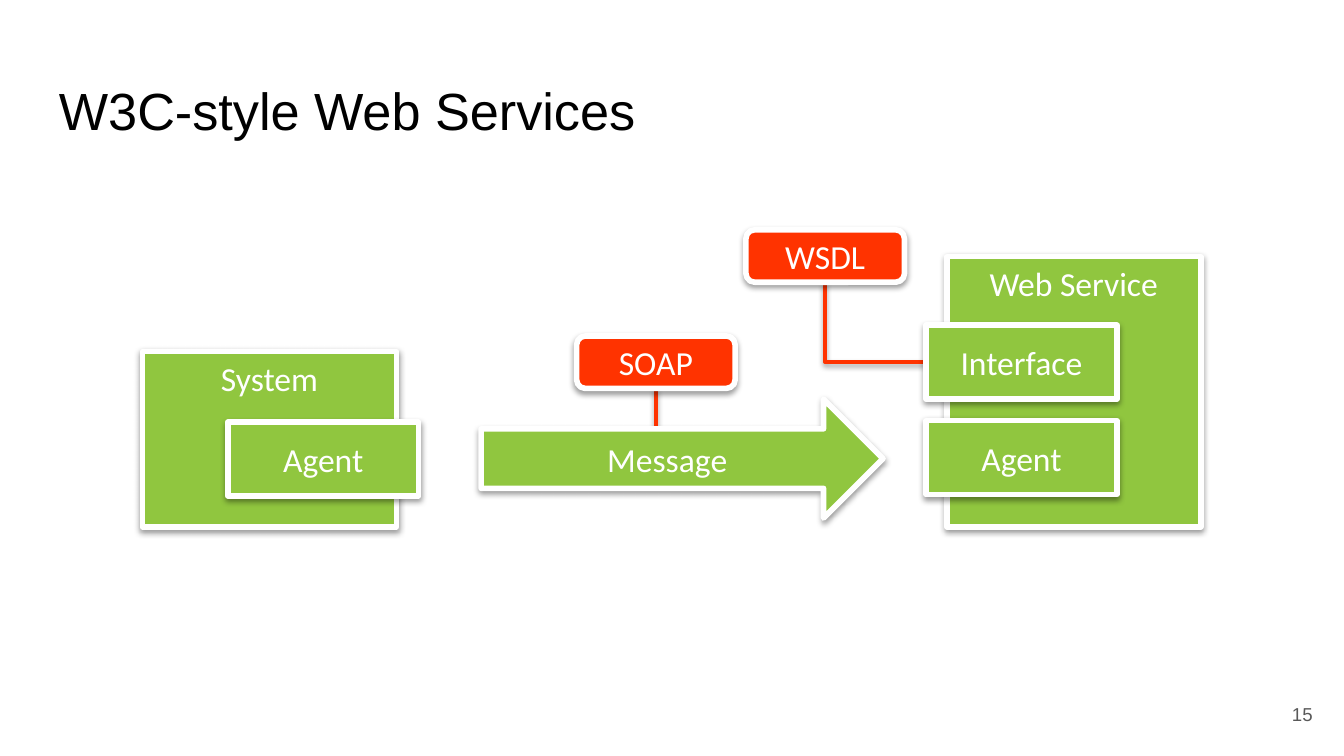
from dataclasses import dataclass

import pptx
import pptx.dml.color
import pptx.enum.shapes
import pptx.enum.text
import pptx.oxml
import pptx.oxml.ns
import pptx.util

RGB = pptx.dml.color.RGBColor
KIND = pptx.enum.shapes.MSO_SHAPE
LINK = pptx.enum.shapes.MSO_CONNECTOR
ALIGN = pptx.enum.text.PP_ALIGN
ANCHOR = pptx.enum.text.MSO_ANCHOR

GREEN = RGB(0x90, 0xC6, 0x3F)
RED = RGB(0xFF, 0x33, 0x00)
WHITE = RGB(0xFF, 0xFF, 0xFF)
BLACK = RGB(0x00, 0x00, 0x00)
GRAY = RGB(0x59, 0x59, 0x59)

SCALE = 4572  # EMU in one px, 200 px to the inch
SHADOW = (
    f'<a:effectLst {pptx.oxml.ns.nsdecls("a")}>'
    '<a:outerShdw blurRad="40000" dist="20000" dir="5400000" rotWithShape="0">'
    '<a:srgbClr val="000000"><a:alpha val="38000"/></a:srgbClr>'
    "</a:outerShdw></a:effectLst>"
)


@dataclass
class Box:
    text: str
    left: int
    top: int
    width: int
    height: int
    kind: KIND = KIND.RECTANGLE
    fill: RGB = GREEN
    anchor: ANCHOR = ANCHOR.MIDDLE


@dataclass
class Label:
    text: str
    left: int
    top: int
    width: int
    height: int
    size: int
    color: RGB
    align: ALIGN
    anchor: ANCHOR


def px(count: int) -> pptx.util.Emu:
    return pptx.util.Emu(count * SCALE)


def shade(shape) -> None:
    shape._element.spPr.append(pptx.oxml.parse_xml(SHADOW))


def write(shape, text: str, font: str, size: int, color: RGB,
          align: ALIGN, anchor: ANCHOR, inset: int) -> None:
    frame = shape.text_frame
    frame.word_wrap = True
    frame.vertical_anchor = anchor
    frame.margin_left = frame.margin_right = px(20)
    frame.margin_top = frame.margin_bottom = px(inset)
    frame.text = text
    line = frame.paragraphs[0]
    line.alignment = align
    style = line.runs[0].font
    style.name, style.size = font, pptx.util.Pt(size)
    style.color.rgb = color


def draw_label(shapes, label: Label) -> None:
    area = shapes.add_textbox(px(label.left), px(label.top),
                              px(label.width), px(label.height))
    write(area, label.text, "Arial", label.size, label.color,
          label.align, label.anchor, 20)


def draw_box(shapes, box: Box) -> None:
    shape = shapes.add_shape(box.kind, px(box.left), px(box.top),
                             px(box.width), px(box.height))
    shape.fill.solid()
    shape.fill.fore_color.rgb = box.fill
    shape.line.color.rgb = WHITE
    shape.line.width = pptx.util.Pt(3)
    shade(shape)
    write(shape, box.text, "Calibri", 18, WHITE, ALIGN.CENTER, box.anchor, 10)


def draw_link(shapes, kind: LINK, x1: int, y1: int, x2: int, y2: int):
    link = shapes.add_connector(kind, px(x1), px(y1), px(x2), px(y2))
    link.line.color.rgb = RED
    link.line.width = pptx.util.Pt(2)
    shade(link)
    return link


def draw_bend(shapes, x1: int, y1: int, x2: int, y2: int) -> None:
    """Go down from the start, then right to the end."""
    wide, high = x2 - x1, y2 - y1
    left, top = x1 + (wide - high) // 2, y1 + (high - wide) // 2
    # The frame is a quarter turn, mirrored, about the same centre
    link = draw_link(shapes, LINK.ELBOW, left + high, top, left, top + wide)
    form = link._element.spPr
    form.find(pptx.oxml.ns.qn("a:xfrm")).set("rot", "16200000")
    form.find(pptx.oxml.ns.qn("a:prstGeom")).set("prst", "bentConnector2")


LABELS = [
    Label("W3C-style Web Services", 68, 97, 1864, 126, 28, BLACK,
          ALIGN.LEFT, ANCHOR.TOP),
    Label("15", 1853, 1020, 120, 86, 10, GRAY, ALIGN.RIGHT, ANCHOR.MIDDLE),
]

BOXES = [
    Box("Web Service", 1409, 382, 378, 402, anchor=ANCHOR.TOP),
    Box("Interface", 1378, 484, 284, 110),
    Box("Agent", 1378, 626, 284, 110),
    Box("System", 212, 523, 378, 261, anchor=ANCHOR.TOP),
    Box("Agent", 339, 628, 284, 110),
    Box("Message", 716, 594, 598, 177, KIND.RIGHT_ARROW),
    Box("SOAP", 858, 500, 236, 78, KIND.ROUNDED_RECTANGLE, RED),
    Box("WSDL", 1110, 342, 236, 78, KIND.ROUNDED_RECTANGLE, RED),
]


def main() -> None:
    deck = pptx.Presentation()
    deck.slide_width, deck.slide_height = px(2000), px(1125)
    slide = deck.slides.add_slide(deck.slide_layouts[6])

    # Title and page number
    for label in LABELS:
        draw_label(slide.shapes, label)

    # Diagram: links lie behind the boxes
    parts = slide.shapes.add_group_shape().shapes
    draw_link(parts, LINK.STRAIGHT, 976, 578, 976, 642)
    draw_bend(parts, 1228, 420, 1378, 539)
    for box in BOXES:
        draw_box(parts, box)

    deck.save("out.pptx")


if __name__ == "__main__":
    main()
